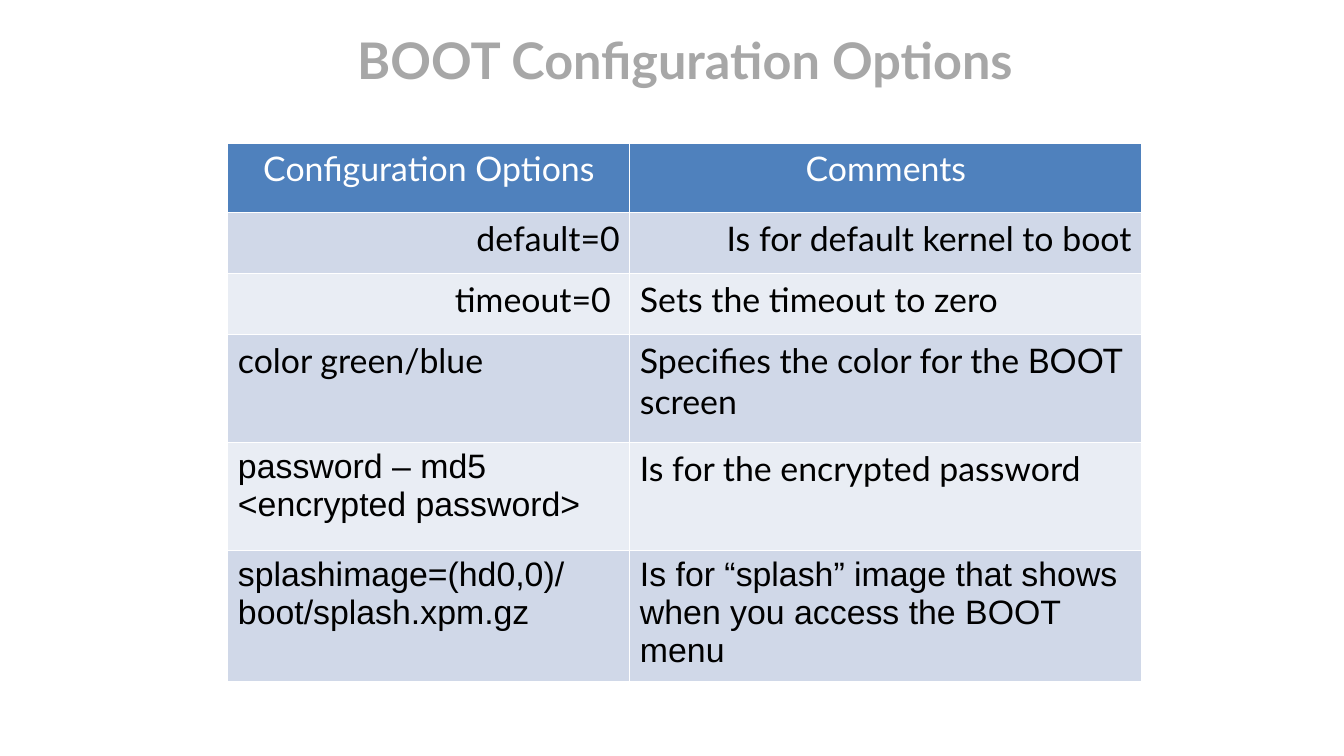
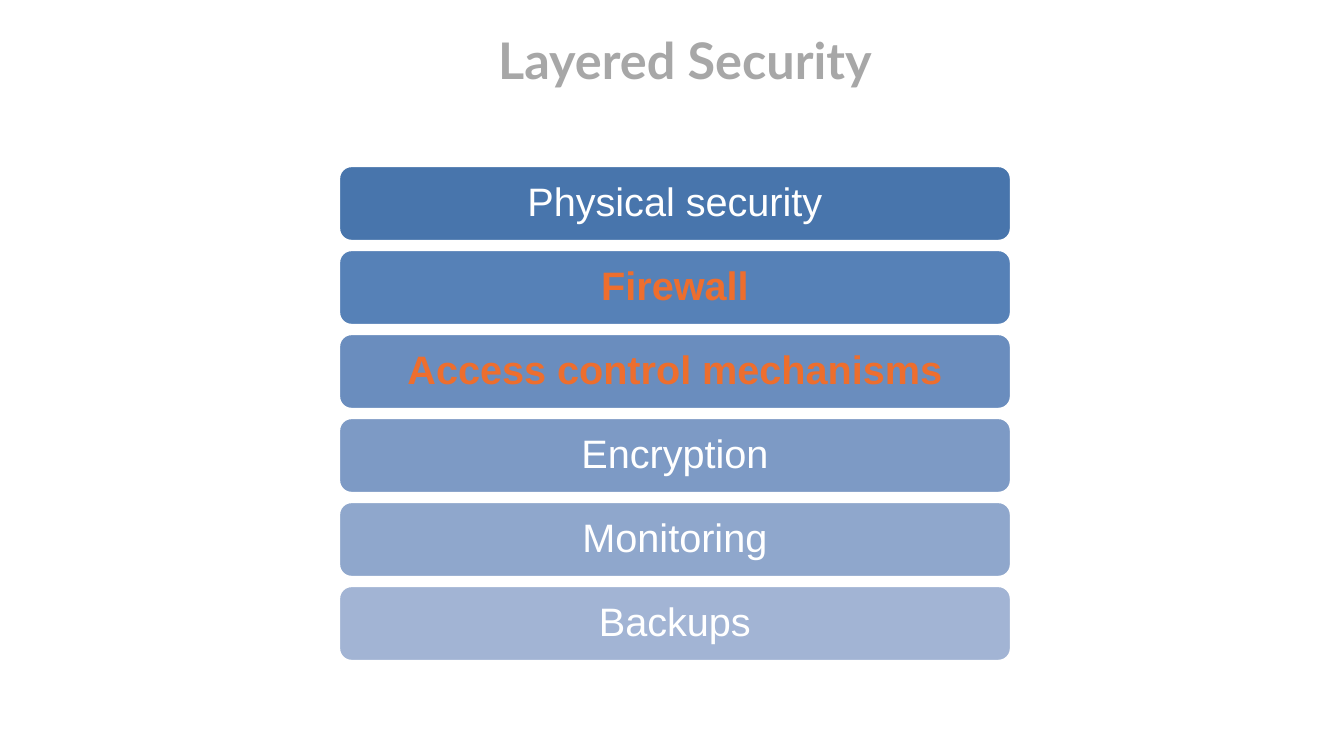
"""Build two slides: a table of boot options and a stack of security layers."""
from pptx import Presentation
from pptx.dml.color import RGBColor
from pptx.enum.shapes import MSO_SHAPE
from pptx.enum.text import MSO_ANCHOR, MSO_AUTO_SIZE, PP_ALIGN
from pptx.oxml.ns import qn
from pptx.util import Pt
from lxml import etree

LEFT, CENTER, RIGHT = PP_ALIGN.LEFT, PP_ALIGN.CENTER, PP_ALIGN.RIGHT
MIDDLE = MSO_ANCHOR.MIDDLE
NO_AUTOFIT = MSO_AUTO_SIZE.NONE
ROUNDED = MSO_SHAPE.ROUNDED_RECTANGLE
TITLE_ONLY = 5
PX = 914400 / 84

COLORS = {
    "title": "A7A7A7",
    "header": "4F81BD",
    "band_dark": "D0D8E8",
    "band_light": "E9EDF4",
    "white": "FFFFFF",
    "black": "000000",
    "accent": "ED6E2E",
}

SLIDE_SIZE = (1344, 756)
TITLE_BOX = (228, 33, 914, 52)

OPTIONS_TITLE = "BOOT Configuration Options"
TABLE_ORIGIN = (228, 143)
COLUMN_WIDTHS = (402, 512)
ROW_HEIGHTS = (70, 61, 61, 108, 108, 131)
CELL_MARGIN_X, CELL_MARGIN_Y = 10, 5
OPTIONS = [
    [("Configuration Options", "Lato", CENTER, 0), ("Comments", "Lato", CENTER, 0)],
    [("default=0", "Lato", RIGHT, 0), ("Is for default kernel to boot", "Lato", RIGHT, 0)],
    [("timeout=0", "Lato", RIGHT, 9), ("Sets the timeout to zero", "Lato", LEFT, 0)],
    [("color green/blue", "Lato", LEFT, 0),
     ("Specifies the color for the BOOT screen", "Lato", LEFT, 0)],
    [("password – md5 <encrypted password>", "Arial", LEFT, 0),
     ("Is for the encrypted password", "Lato", LEFT, 0)],
    [("splashimage=(hd0,0)/boot/splash.xpm.gz", "Arial", LEFT, 0),
     ("Is for “splash” image that shows when you access the BOOT menu", "Arial", LEFT, 0)],
]

LAYERS_TITLE = "Layered Security"
LAYER_BOX = (339, 166, 672, 75)
LAYER_STEP = 84
LAYERS = [
    ("Physical security", "4875AC", False),
    ("Firewall", "5681B7", True),
    ("Access control mechanisms", "6A8DBE", True),
    ("Encryption", "7D9AC5", False),
    ("Monitoring", "8FA7CC", False),
    ("Backups", "A2B4D4", False),
]


def px(value):
    return round(value * PX)


def rgb(name):
    return RGBColor.from_string(COLORS.get(name, name))


def set_margins(target, left, top, right, bottom):
    target.margin_left, target.margin_top = px(left), px(top)
    target.margin_right, target.margin_bottom = px(right), px(bottom)


def add_text(frame, text, font_name, size, color, bold=False, align=CENTER):
    paragraph = frame.paragraphs[0]
    paragraph.alignment = align
    run = paragraph.add_run()
    run.text = text
    run.font.name = font_name
    run.font.size = Pt(size)
    run.font.bold = bold
    run.font.color.rgb = rgb(color)
    return paragraph


def add_titled_slide(presentation, text):
    slide = presentation.slides.add_slide(presentation.slide_layouts[TITLE_ONLY])
    title = slide.shapes.title
    title.left, title.top, title.width, title.height = map(px, TITLE_BOX)
    frame = title.text_frame
    frame.auto_size = NO_AUTOFIT
    frame.vertical_anchor = MIDDLE
    set_margins(frame, 6, 6, 6, 6)
    add_text(frame, text, "Lato", 43.2, "title", bold=True)
    return slide


def set_borders(cell):
    properties = cell._tc.get_or_add_tcPr()
    for side in "LRTB":
        line = etree.SubElement(properties, qn(f"a:ln{side}"), w=str(Pt(1)))
        fill = etree.SubElement(line, qn("a:solidFill"))
        etree.SubElement(fill, qn("a:srgbClr"), val=COLORS["white"])


def add_options_table(slide):
    size = (sum(COLUMN_WIDTHS), sum(ROW_HEIGHTS))
    table = slide.shapes.add_table(
        len(OPTIONS), len(COLUMN_WIDTHS), *map(px, TABLE_ORIGIN + size)).table
    for column, width in zip(table.columns, COLUMN_WIDTHS):
        column.width = px(width)
    for row_index, (row, height) in enumerate(zip(OPTIONS, ROW_HEIGHTS)):
        table.rows[row_index].height = px(height)
        is_header = row_index == 0
        band = "header" if is_header else ("band_light", "band_dark")[row_index % 2]
        for column_index, (text, font_name, align, indent) in enumerate(row):
            cell = table.cell(row_index, column_index)
            set_margins(cell, CELL_MARGIN_X, CELL_MARGIN_Y,
                        CELL_MARGIN_X + indent, CELL_MARGIN_Y)
            set_borders(cell)
            cell.fill.solid()
            cell.fill.fore_color.rgb = rgb(band)
            add_text(cell.text_frame, text, font_name, 29,
                     "white" if is_header else "black", align=align)


def add_layers(slide):
    left, top, width, height = LAYER_BOX
    for index, (text, fill, highlighted) in enumerate(LAYERS):
        layer = slide.shapes.add_shape(
            ROUNDED, *map(px, (left, top + index * LAYER_STEP, width, height)))
        layer.shadow.inherit = False
        layer.fill.solid()
        layer.fill.fore_color.rgb = rgb(fill)
        layer.line.color.rgb = rgb("white")
        layer.line.width = Pt(2)
        frame = layer.text_frame
        frame.word_wrap = True
        frame.vertical_anchor = MIDDLE
        set_margins(frame, 12, 12, 12, 12)
        paragraph = add_text(frame, text, "Arial", 34,
                             "accent" if highlighted else "white", highlighted)
        paragraph.line_spacing = 0.9


def main():
    presentation = Presentation()
    presentation.slide_width, presentation.slide_height = map(px, SLIDE_SIZE)
    add_options_table(add_titled_slide(presentation, OPTIONS_TITLE))
    add_layers(add_titled_slide(presentation, LAYERS_TITLE))
    presentation.save("out.pptx")


if __name__ == "__main__":
    main()
